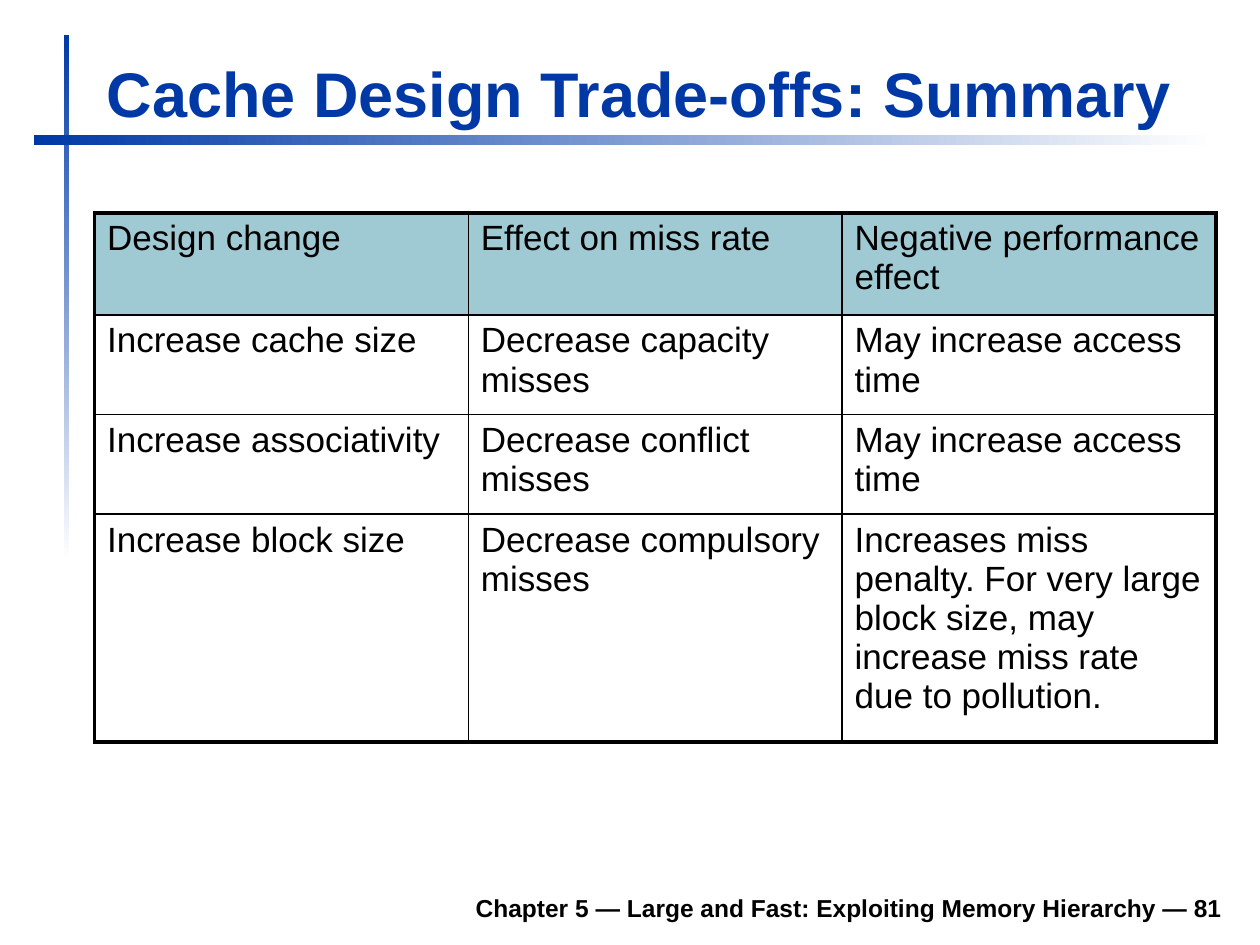
from pptx import Presentation
from pptx.dml.color import RGBColor
from pptx.enum.shapes import MSO_SHAPE
from pptx.enum.text import MSO_ANCHOR, PP_ALIGN
from pptx.oxml import parse_xml
from pptx.oxml.ns import nsdecls
from pptx.util import Inches, Pt

RECT = MSO_SHAPE.RECTANGLE
BOTTOM = MSO_ANCHOR.BOTTOM
LEFT, RIGHT = PP_ALIGN.LEFT, PP_ALIGN.RIGHT

COLORS = {"blue": "0039A6", "white": "FFFFFF", "black": "000000", "teal": "9FCAD3"}
FONT = "Arial"
THIN, MID, THICK = 1, 1.5, 2.25

ROWS = [
    ["Design change", "Effect on miss rate", "Negative performance effect"],
    ["Increase cache size", "Decrease capacity misses", "May increase access time"],
    ["Increase associativity", "Decrease conflict misses", "May increase access time"],
    ["Increase block size", "Decrease compulsory misses",
     "Increases miss penalty. For very large block size, "
     "may increase miss rate due to pollution."],
]
HEIGHTS = [0.81, 0.79, 0.79, 1.81]


class Deck:
    """Holds the style and the current slide."""

    def __init__(self):
        self.prs = Presentation()
        self.prs.slide_width, self.prs.slide_height = Inches(10), Inches(7.5)
        self.slide = self.prs.slides.add_slide(self.prs.slide_layouts[6])

    def color(self, name):
        return RGBColor.from_string(COLORS[name])

    def style(self, para, size, color="black", bold=False):
        for run in para.runs:
            font = run.font
            font.name, font.size, font.bold = FONT, Pt(size), bold
            font.color.rgb = self.color(color)

    def bar(self, box, angle):
        shape = self.slide.shapes.add_shape(RECT, *map(Inches, box))
        shape.shadow.inherit = False
        shape.line.fill.background()
        shape.fill.gradient()
        shape.fill.gradient_angle = angle
        for stop, name in zip(shape.fill.gradient_stops, ("blue", "white")):
            stop.color.rgb = self.color(name)

    def text(self, box, text, size, color="black", align=LEFT):
        frame = self.slide.shapes.add_textbox(*map(Inches, box)).text_frame
        frame.word_wrap = True
        frame.vertical_anchor = BOTTOM
        frame.text = text
        para = frame.paragraphs[0]
        para.alignment = align
        self.style(para, size, color, True)

    def border(self, cell, side, width):
        cell._tc.get_or_add_tcPr().append(parse_xml(
            f'<a:ln{side} {nsdecls("a")} w="{Pt(width)}"><a:solidFill>'
            f'<a:srgbClr val="{COLORS["black"]}"/></a:solidFill></a:ln{side}>'))

    def table(self, box, rows, heights, size):
        last, end = len(rows) - 1, len(rows[0]) - 1
        table = self.slide.shapes.add_table(
            last + 1, end + 1, *map(Inches, box)).table
        table.first_row = table.horz_banding = False
        levels = [THICK, MID] + [THIN] * (last - 1) + [THICK]
        uprights = [THICK] + [THIN] * end + [THICK]
        for r, row in enumerate(rows):
            table.rows[r].height = Inches(heights[r])
            for c, text in enumerate(row):
                cell = table.cell(r, c)
                cell.text_frame.text = text
                self.style(cell.text_frame.paragraphs[0], size)
                self.border(cell, "L", uprights[c])
                self.border(cell, "R", uprights[c + 1])
                self.border(cell, "T", levels[r])
                self.border(cell, "B", levels[r + 1])
                if r == 0:
                    cell.fill.solid()
                    cell.fill.fore_color.rgb = self.color("teal")
                else:
                    cell.fill.background()


def main():
    deck = Deck()
    deck.bar((0.51, 0.28, 0.04, 4.17), 270)
    deck.bar((0.27, 1.07, 9.37, 0.08), 0)
    deck.text((1.85, 6.98, 7.95, 0.39),
              "Chapter 5 — Large and Fast: Exploiting Memory Hierarchy — 81",
              14, align=RIGHT)
    deck.text((0.75, 0.37, 9.25, 0.71), "Cache Design Trade-offs: Summary", 36, "blue")
    deck.table((0.75, 1.69, 8.9, sum(HEIGHTS)), ROWS, HEIGHTS, 20)
    deck.prs.save("out.pptx")


if __name__ == "__main__":
    main()
